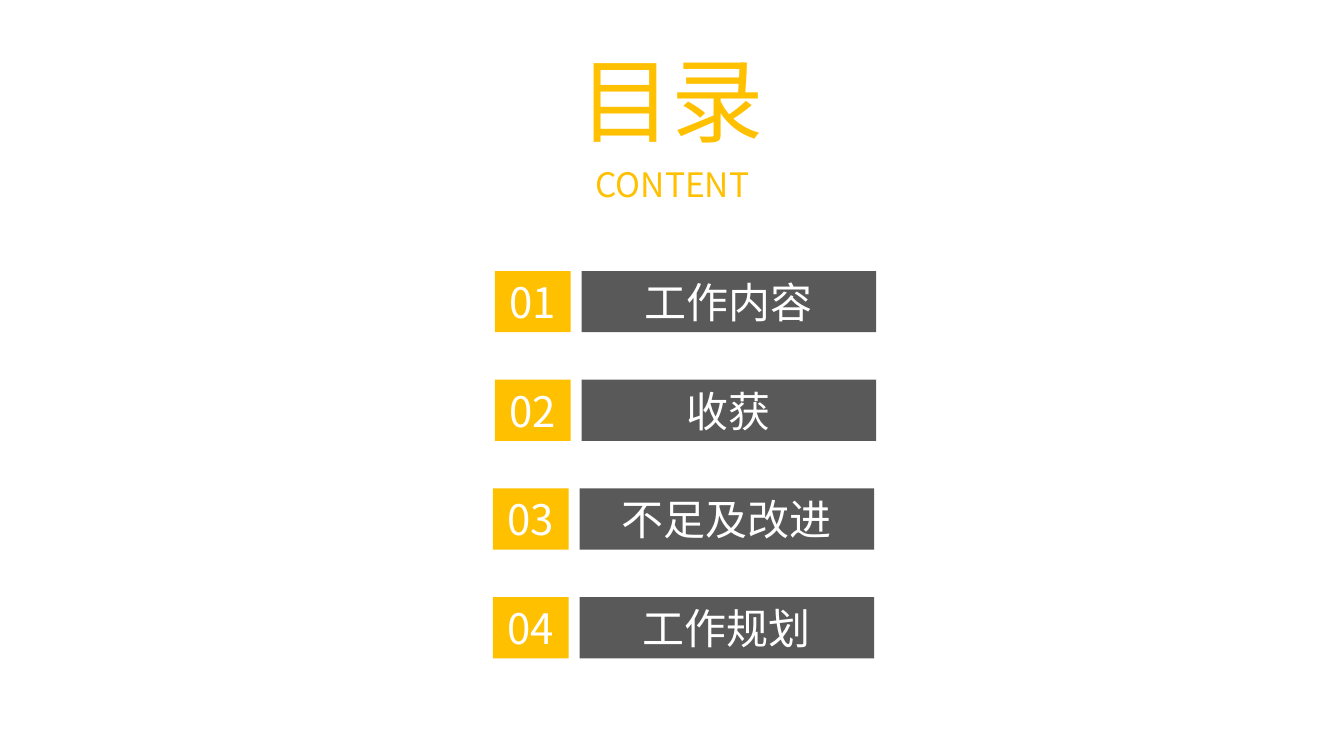
from lxml.etree import SubElement
from pptx import Presentation
from pptx.dml.color import RGBColor
from pptx.enum.shapes import MSO_SHAPE
from pptx.enum.text import MSO_ANCHOR, PP_ALIGN
from pptx.oxml.ns import qn
from pptx.util import Cm, Pt

FONT = "Noto Sans CJK SC"
AMBER = RGBColor(0xFF, 0xC0, 0x00)
GREY = RGBColor(0x59, 0x59, 0x59)
WHITE = RGBColor(0xFF, 0xFF, 0xFF)


def set_text(shape, text, size, color):
    text_frame = shape.text_frame
    text_frame.text = text
    text_frame.word_wrap = True
    text_frame.vertical_anchor = MSO_ANCHOR.MIDDLE
    text_frame.margin_top = text_frame.margin_bottom = 0
    paragraph = text_frame.paragraphs[0]
    paragraph.alignment = PP_ALIGN.CENTER
    font = paragraph.runs[0].font
    font.name = FONT
    font.size = Pt(size)
    font.color.rgb = color
    properties = paragraph.runs[0]._r.get_or_add_rPr()
    SubElement(properties, qn("a:ea"), typeface=FONT)


def add_block(left, top, width, fill, text):
    shape = slide.shapes.add_shape(
        MSO_SHAPE.RECTANGLE, Cm(left), Cm(top), Cm(width), Cm(1.54)
    )
    shape.shadow.inherit = False
    shape.fill.solid()
    shape.fill.fore_color.rgb = fill
    shape.line.fill.background()
    set_text(shape, text, 30, WHITE)


presentation = Presentation()
presentation.slide_width = Cm(33.87)
presentation.slide_height = Cm(19.05)
slide = presentation.slides.add_slide(presentation.slide_layouts[6])

title = slide.shapes.add_textbox(Cm(12.98), Cm(0.94), Cm(7.9), Cm(3.07))
set_text(title, "目录", 66, AMBER)
subtitle = slide.shapes.add_textbox(Cm(14.66), Cm(4.01), Cm(4.57), Cm(1.27))
set_text(subtitle, "CONTENT", 24, AMBER)

sections = [
    ("工作内容", 12.47),
    ("收获", 12.47),
    ("不足及改进", 12.42),
    ("工作规划", 12.42),
]
for index, (section, left) in enumerate(sections):
    top = 6.83 + index * 2.74
    add_block(left, top, 1.91, AMBER, f"{index + 1:02d}")
    add_block(left + 2.19, top, 7.42, GREY, section)

presentation.save("out.pptx")
